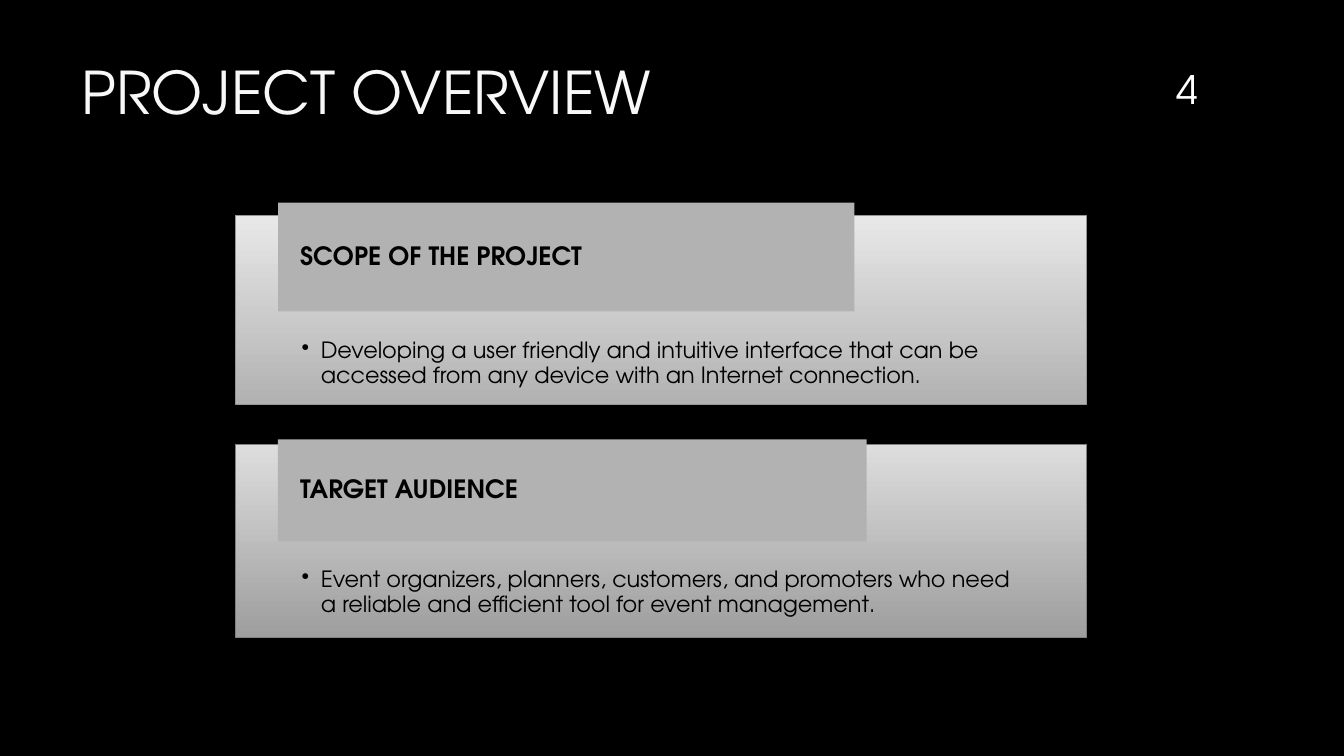
from dataclasses import dataclass

from lxml import etree
from pptx import Presentation
from pptx.dml.color import RGBColor
from pptx.enum.shapes import MSO_SHAPE
from pptx.enum.text import MSO_ANCHOR, PP_ALIGN
from pptx.oxml.ns import qn
from pptx.util import Pt

RECT = MSO_SHAPE.RECTANGLE
TOP, MIDDLE, BOTTOM = MSO_ANCHOR.TOP, MSO_ANCHOR.MIDDLE, MSO_ANCHOR.BOTTOM
LEFT, CENTER = PP_ALIGN.LEFT, PP_ALIGN.CENTER


@dataclass(frozen=True)
class Theme:
    """Holds the colours, font and type sizes of the slide."""
    font: str = "TeX Gyre Adventor"
    back: str = "000000"
    title: str = "F8F8F8"
    page: str = "FFFFFF"
    ink: str = "000000"
    tab: str = "B2B2B2"
    title_size: float = 42
    page_size: float = 28
    head_size: float = 18
    body_size: float = 16


THEME = Theme()
PANELS = [
    dict(box=(168, 154, 608.4, 134.7), tab=(9.3, 411.8, 77.8),
         shades=("E8E8E8", "B2B2B2"), edge="969696",
         head="SCOPE OF THE PROJECT",
         body="Developing a user friendly and intuitive interface that can be "
              "accessed from any device with an Internet connection."),
    dict(box=(168, 317.5, 608.4, 137.7), tab=(3.6, 420.5, 72.7),
         shades=("DDDDDD", "9E9E9E"), edge="808080",
         head="TARGET AUDIENCE",
         body="Event organizers, planners, customers, and promoters who need "
              "a reliable and efficient tool for event management."),
]


def paint(color):
    """Turn a hex string into a colour."""
    return RGBColor.from_string(color)


def write(shape, text, size, color, bold=False, align=LEFT, anchor=TOP,
          inset=(7.2, 3.6, 7.2, 3.6), line=1.0, bullet=False):
    """Put one formatted paragraph into a shape."""
    frame = shape.text_frame
    frame.word_wrap = True
    frame.vertical_anchor = anchor
    (frame.margin_left, frame.margin_top,
     frame.margin_right, frame.margin_bottom) = map(Pt, inset)
    para = frame.paragraphs[0]
    para.alignment = align
    para.line_spacing = line
    if bullet:
        props = para._p.get_or_add_pPr()
        props.set("marL", str(Pt(13.7)))
        props.set("indent", str(-Pt(13.7)))
        etree.SubElement(props, qn("a:buChar")).set("char", "•")
    run = para.add_run()
    run.text = text
    font = run.font
    font.name, font.size, font.bold = THEME.font, Pt(size), bold
    font.color.rgb = paint(color)


def block(slide, box):
    """Add a rectangle without a shadow."""
    shape = slide.shapes.add_shape(RECT, *map(Pt, box))
    shape.shadow.inherit = False
    return shape


def header(slide, box):
    """Place the title at the left and the page number at the right."""
    left, top, width, height = box
    title = slide.shapes.add_textbox(*map(Pt, (left, top + 13, 741, height - 13)))
    write(title, "PROJECT OVERVIEW", THEME.title_size, THEME.title)
    page = slide.shapes.add_textbox(*map(Pt, (left + width - 66, top, 66, 60.5)))
    write(page, "4", THEME.page_size, THEME.page, align=CENTER, anchor=BOTTOM)


def panel(slide, box, tab, shades, edge, head, body):
    """Draw a shaded panel with a heading tab over its upper edge."""
    left, top = box[:2]
    rise, width, height = tab
    base = block(slide, box)
    base.fill.gradient()
    base.fill.gradient_angle = 270
    for stop, shade in zip(base.fill.gradient_stops, shades):
        stop.color.rgb = paint(shade)
    base.line.color.rgb = paint(edge)
    base.line.width = Pt(0.75)
    write(base, body, THEME.body_size, THEME.ink, line=0.9, bullet=True,
          inset=(47.5, 88.6, 47.5, 8.6))
    label = block(slide, (left + 30.6, top - rise, width, height))
    label.fill.solid()
    label.fill.fore_color.rgb = paint(THEME.tab)
    label.line.fill.background()
    write(label, head, THEME.head_size, THEME.ink, bold=True, anchor=MIDDLE,
          line=0.9, inset=(15.8, 0, 15.8, 0))


def main():
    """Build the slide and save it."""
    deck = Presentation()
    deck.slide_width, deck.slide_height = Pt(960), Pt(540)
    slide = deck.slides.add_slide(deck.slide_layouts[6])
    slide.background.fill.solid()
    slide.background.fill.fore_color.rgb = paint(THEME.back)
    header(slide, (51, 23, 830, 123))
    for item in PANELS:
        panel(slide, **item)
    deck.save("out.pptx")


if __name__ == "__main__":
    main()
